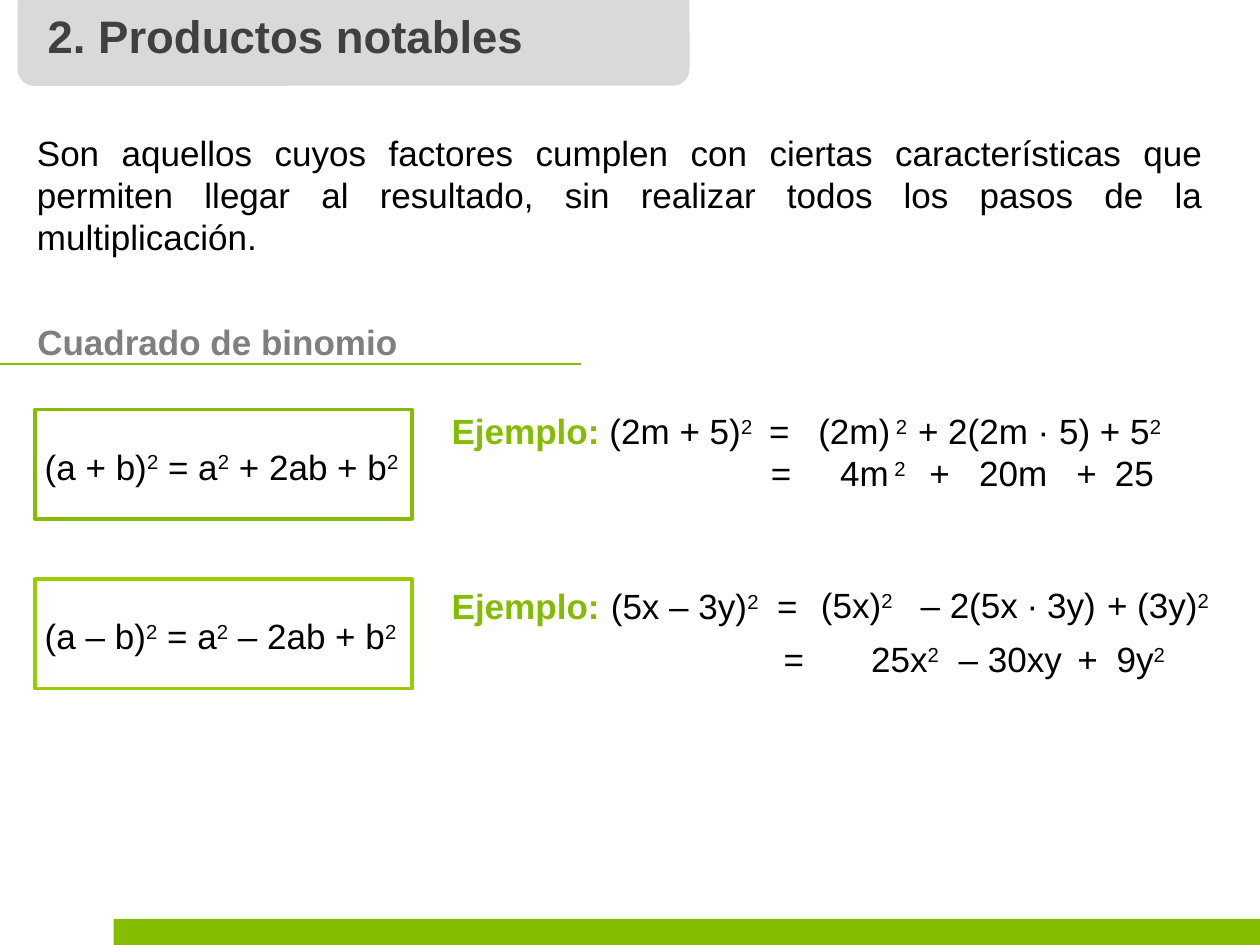
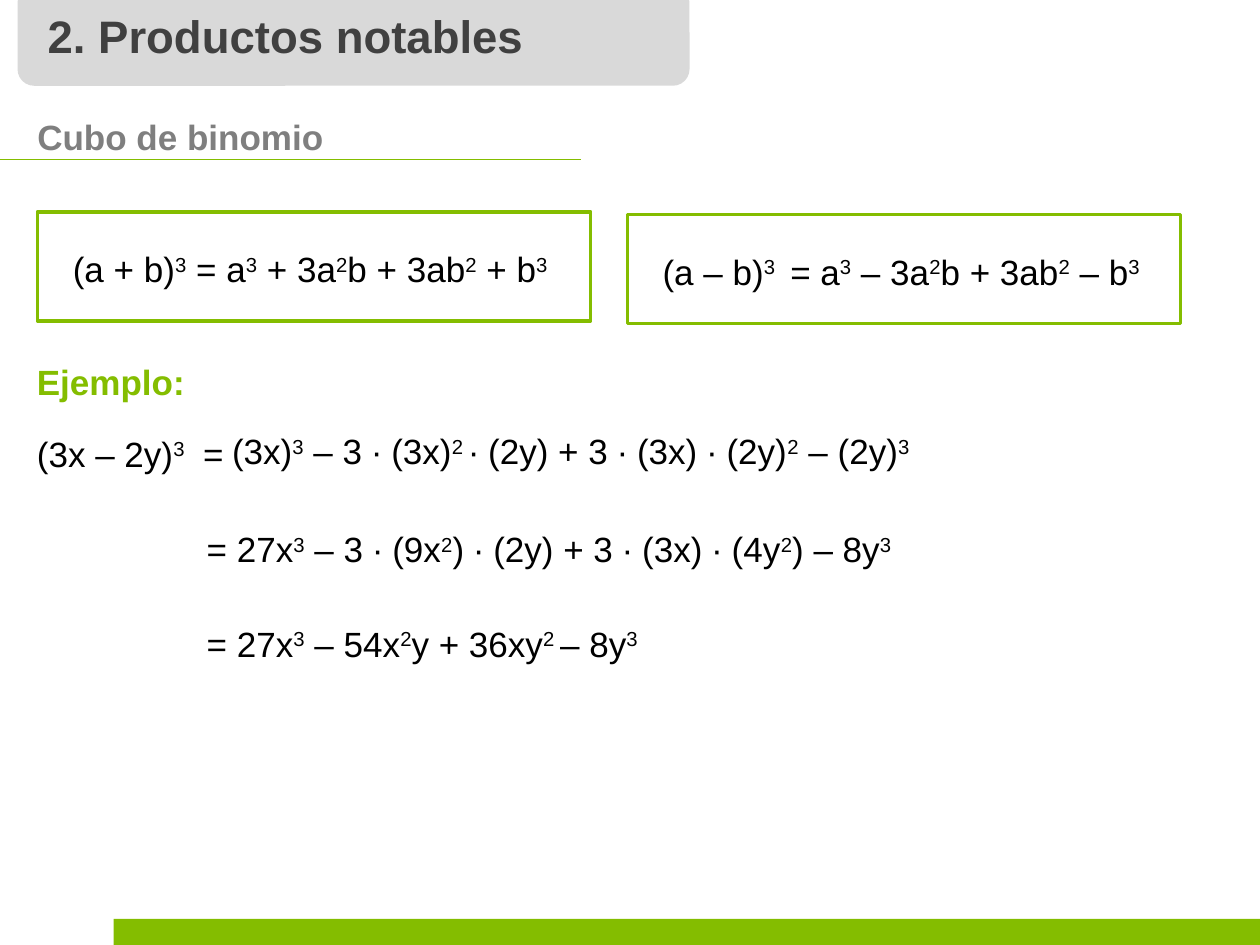
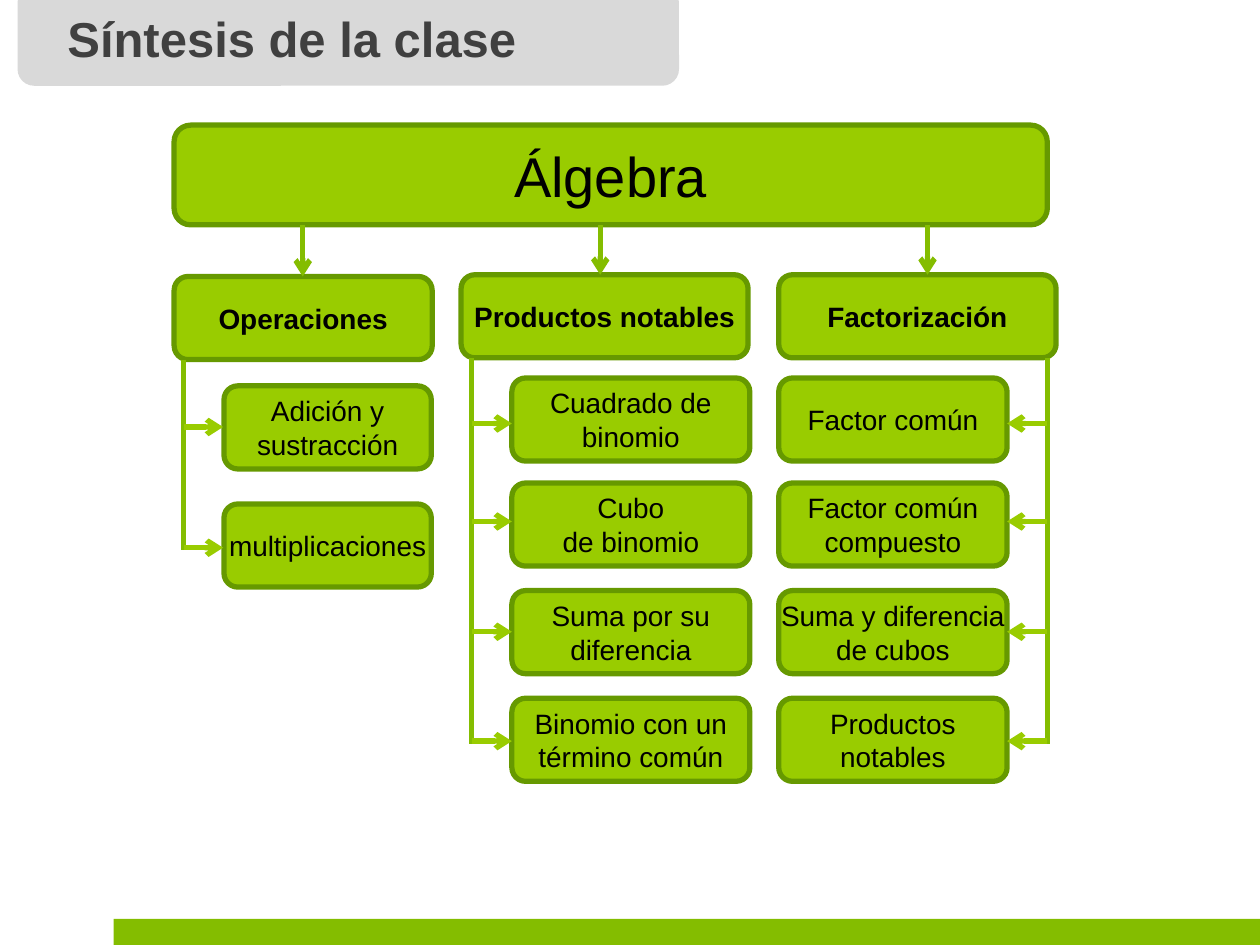
from lxml import etree
from pptx import Presentation
from pptx.dml.color import RGBColor
from pptx.enum.shapes import MSO_CONNECTOR, MSO_SHAPE
from pptx.enum.text import MSO_ANCHOR, MSO_AUTO_SIZE, PP_ALIGN
from pptx.oxml.ns import qn
from pptx.util import Pt

RECT, ROUND = MSO_SHAPE.RECTANGLE, MSO_SHAPE.ROUNDED_RECTANGLE
NODE = MSO_SHAPE.FLOWCHART_ALTERNATE_PROCESS
LINE = MSO_CONNECTOR.STRAIGHT
LEFT, MID, FULL = PP_ALIGN.LEFT, PP_ALIGN.CENTER, PP_ALIGN.JUSTIFY
CENTRE, TOP = MSO_ANCHOR.MIDDLE, MSO_ANCHOR.TOP
FIT, FIXED = MSO_AUTO_SIZE.SHAPE_TO_FIT_TEXT, MSO_AUTO_SIZE.NONE

GREEN, LIME, DARK = "84BD00", "99CC00", "669900"
WHITE, BLACK, BAND = "FFFFFF", "000000", "D9D9D9"


def style(size, ink=BLACK, bold=False):
    """Return the format values of a run."""
    return {"name": "Arial", "size": Pt(size), "bold": bold, "ink": ink}


BODY = style(20)
LEAD = style(20, GREEN, True)
HEAD = style(20, "7F7F7F", True)
ROOT, TOPIC, ITEM = style(32), style(16, bold=True), style(16)

NODE_H = 47.5
ROWS = (216, 276, 337.5, 399)
HOOKS = (242, 298, 361, 423.5)
# topic box, arrow x, spine x, hook end, item x, item width, rows, hooks, items
BRANCHES = (
    ("Operaciones", (99.5, 158, 147.5), 173, 105, 127.5, 128, 118.5,
     (220.5, 288), (244, 313),
     (("Adición y", "sustracción"), ("multiplicaciones",))),
    ("Productos notables", (263.5, 157, 164), 343, 269.5, 292.5, 292.5, 136,
     ROWS, HOOKS,
     (("Cuadrado de", "binomio"), ("Cubo", "de binomio"),
      ("Suma por su", "diferencia"), ("Binomio con un", "término común"))),
    ("Factorización", (445, 157, 158.5), 530, 598.5, 575.5, 445, 130.5,
     ROWS, HOOKS,
     (("Factor común",), ("Factor común", "compuesto"),
      ("Suma y diferencia", "de cubos"), ("Productos", "notables"))),
)


def rgb(code):
    """Turn a hex string into a colour."""
    return RGBColor.from_string(code)


def set_all(thing, values):
    """Set attributes of an object from a dict."""
    for name, value in values.items():
        setattr(thing, name, value)


def add_run(para, text, look, raised):
    """Add one run, raised as an exponent if asked."""
    run = para.add_run()
    run.text = text
    set_all(run.font, {k: v for k, v in look.items() if k != "ink"})
    run.font.color.rgb = rgb(look["ink"])
    if raised:
        run._r.get_or_add_rPr().set("baseline", "30000")


def set_tabs(para, stops):
    """Give a paragraph left tab stops, in points."""
    tabs = etree.SubElement(para._p.get_or_add_pPr(), qn("a:tabLst"))
    for stop in stops:
        etree.SubElement(tabs, qn("a:tab"), pos=str(Pt(stop)), algn="l")


def write(frame, parts, align=LEFT, tabs=(), first=True):
    """Write a paragraph of (text, style) parts; ^ encloses exponents."""
    para = frame.paragraphs[0] if first else frame.add_paragraph()
    para.alignment = align
    if tabs:
        set_tabs(para, tabs)
    for text, look in parts:
        for i, piece in enumerate(text.split("^")):
            if piece:
                add_run(para, piece, look, i % 2)


def add_box(slide, kind, at, fill, edge=None, weight=2):
    """Add a filled preset shape without shadow."""
    box = slide.shapes.add_shape(kind, *map(Pt, at))
    box.shadow.inherit = False
    box.fill.solid()
    box.fill.fore_color.rgb = rgb(fill)
    if edge:
        box.line.color.rgb = rgb(edge)
        box.line.width = Pt(weight)
    else:
        box.line.fill.background()
    return box


def add_text(slide, at, text, look=BODY, align=LEFT, tabs=(), pad=7.2):
    """Add a wrapping text box with one paragraph and return its frame."""
    frame = slide.shapes.add_textbox(*map(Pt, at)).text_frame
    set_all(frame, {"word_wrap": True, "auto_size": FIT,
                    "margin_left": Pt(pad)})
    parts = [(text, look)] if isinstance(text, str) else text
    write(frame, parts, align, tabs)
    return frame


def add_line(slide, start, end, ink, weight=3, arrow=False):
    """Add a straight line, with an arrowhead at its end if asked."""
    line = slide.shapes.add_connector(LINE, *map(Pt, start + end))
    line.line.color.rgb = rgb(ink)
    line.line.width = Pt(weight)
    if arrow:
        etree.SubElement(line.get_or_add_ln(), qn("a:tailEnd"), type="arrow")
    etree.SubElement(line.element.spPr, qn("a:effectLst"))


def add_slide(deck, text, at=(20, 1, 289.5, 39), size=26, wide=384, align=LEFT):
    """Add a slide with its title on the grey band."""
    slide = deck.slides.add_slide(deck.slide_layouts[5])
    title = slide.shapes.title
    band = add_box(slide, ROUND, (10, -8, wide, 57), BAND)
    title.element.addprevious(band.element)
    set_all(title, dict(zip(("left", "top", "width", "height"), map(Pt, at))))
    frame = title.text_frame
    set_all(frame, {"word_wrap": False, "auto_size": FIXED,
                    "vertical_anchor": TOP})
    write(frame, [(text, style(size, "404040", True))], align)
    return slide


def add_head(slide, top, text):
    """Add a section heading with the rule under it."""
    add_text(slide, (3, top, 646.5, 31.5), text, HEAD, pad=18.3)
    add_line(slide, (0, top + 28.5), (332, top + 28.5), GREEN, 0.75)


def add_node(slide, at, lines, look):
    """Add a diagram node with centred lines."""
    node = add_box(slide, NODE, at, LIME, DARK, 3)
    frame = node.text_frame
    set_all(frame, {"word_wrap": False, "vertical_anchor": CENTRE})
    for i, text in enumerate(lines):
        write(frame, [(text, look)], MID, first=i == 0)


def add_branch(slide, name, at, drop, spine, tip, left, wide, rows, hooks, items):
    """Add a topic with its items, spine and arrows."""
    base = at[1] + NODE_H
    add_node(slide, at + (NODE_H,), (name,), TOPIC)
    add_line(slide, (drop, 128.5), (drop, at[1]), GREEN, arrow=True)
    add_line(slide, (spine, base), (spine, hooks[-1] + 1.5), GREEN)
    for top, hook, lines in zip(rows, hooks, items):
        add_node(slide, (left, top, wide, NODE_H), lines, ITEM)
        add_line(slide, (spine, hook), (tip, hook), LIME, arrow=True)


def square_slide(deck):
    """Build the slide on the square of a binomial."""
    slide = add_slide(deck, "2. Productos notables")
    add_text(slide, (14, 71.5, 680.5, 80),
             "Son aquellos cuyos factores cumplen con ciertas características "
             "que permiten llegar al resultado, sin realizar todos los pasos "
             "de la multiplicación.", align=FULL)
    add_head(slide, 179.5, "Cuadrado de binomio")
    for top, edge, text in (
            (234, GREEN, "(a + b)^2^ = a^2^ + 2ab + b^2^"),
            (331, LIME, "(a – b)^2^ = a^2^ – 2ab + b^2^")):
        add_box(slide, RECT, (20, top, 215.5, 62.5), WHITE, edge)
        add_text(slide, (18.5, top + 16.75, 233, 31.5), text)

    frame = add_text(
        slide, (251, 230.5, 438, 55.5),
        [("Ejemplo: ", LEAD),
         ("(2m + 5)^2^\t=\t(2m)^ 2^\t+ 2(2m · 5) + 5^2^", BODY)],
        tabs=(181.5, 209.5, 266.5))
    write(frame, [("\t=\t4m^ 2^\t+\t20m\t+\t25", BODY)],
          tabs=(182.5, 222, 273, 301.5, 357, 379), first=False)

    add_text(slide, (251, 330.5, 206.5, 31.5), "Ejemplo:", LEAD)
    for left, top, wide, text, tabs, pad in (
            (342, 330.5, 153, "(5x – 3y)^2^\t=", (95,), 7.2),
            (462, 330, 73.5, "(5x)^2^", (), 7.2),
            (519, 330, 130, "– 2(5x ∙ 3y)", (), 7.2),
            (625.5, 330, 90.5, "+ (3y)^2^", (), 7.2),
            (435, 361, 188, "=\t25x^2^", (50,), 12.8),
            (535, 361, 85, "– 30xy", (), 12.8),
            (608.5, 361, 85, "+\t9y^2^", (22.5,), 7.2)):
        add_text(slide, (left, top, wide, 31), text, tabs=tabs, pad=pad)


def cube_slide(deck):
    """Build the slide on the cube of a binomial."""
    slide = add_slide(deck, "2. Productos notables")
    add_head(slide, 62.5, "Cubo de binomio")
    for left, top, text, tabs in (
            (21.5, 121, "(a + b)^3^ = a^3^ + 3a^2^b + 3ab^2^ + b^3^", ()),
            (358.5, 122.5, "(a – b)^3^\t= a^3^ – 3a^2^b + 3ab^2^ – b^3^", (73,))):
        add_box(slide, RECT, (left, top, 316, 62.5), WHITE, GREEN)
        inner = add_box(slide, RECT, (left + 13, top + 17, 297.5, 31.5), WHITE)
        set_all(inner.text_frame, {"word_wrap": True, "vertical_anchor": TOP})
        write(inner.text_frame, [(text, BODY)], tabs=tabs)
    add_text(slide, (14, 202.5, 121.5, 31.5), "Ejemplo:", LEAD)
    add_text(slide, (14, 243.5, 123, 31.5), "(3x – 2y)^3^\t=", tabs=(95,))
    for left, top, text in (
            (125.5, 242, "(3x)^3^ – 3 ∙ (3x)^2 ^∙ (2y) + 3 ∙ (3x) ∙ (2y)^2^ – (2y)^3^"),
            (111, 298, "= 27x^3^ – 3 ∙ (9x^2^) ∙ (2y) + 3 ∙ (3x) ∙ (4y^2^) – 8y^3^"),
            (111, 352, "= 27x^3^ – 54x^2^y + 36xy^2 ^– 8y^3^")):
        add_text(slide, (left, top, 430.5, 31), text)


def map_slide(deck):
    """Build the summary diagram and return its slide."""
    slide = add_slide(deck, "Síntesis de la clase", (31, 1, 271.5, 41),
                      28, 378, MID)
    add_node(slide, (99.5, 71.5, 499, 57), ("Álgebra",), ROOT)
    for branch in BRANCHES:
        add_branch(slide, *branch)
    return slide


def main():
    """Build the deck and save it."""
    deck = Presentation()
    deck.slide_width, deck.slide_height = Pt(720), Pt(540)
    square_slide(deck)
    cube_slide(deck)
    last = map_slide(deck)
    # The footer bar moves to the layout, so every slide shares it.
    bar = add_box(last, RECT, (65, 525, 655, 15), GREEN)
    last.slide_layout.shapes.element.append(bar.element)
    deck.save("out.pptx")


main()
